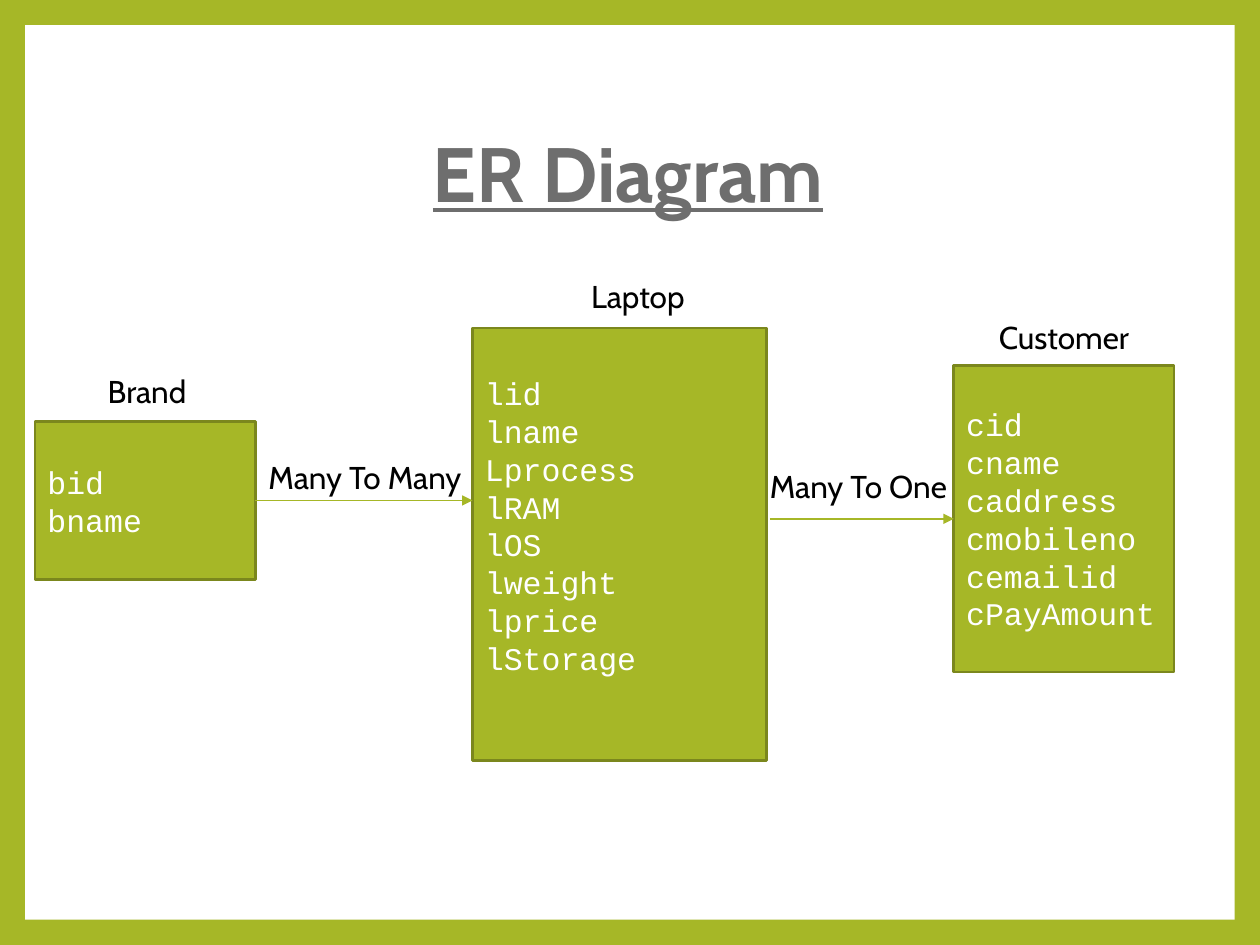
from dataclasses import dataclass

from lxml import etree
from pptx import Presentation
from pptx.dml.color import RGBColor
from pptx.enum import shapes, text
from pptx.oxml import ns
from pptx.util import Pt

GREEN = RGBColor(0xA6, 0xB7, 0x27)
DARK_GREEN = RGBColor(0x7B, 0x87, 0x1D)
GREY = RGBColor(0x6E, 0x6E, 0x6E)
WHITE = RGBColor(0xFF, 0xFF, 0xFF)
BLACK = RGBColor(0x00, 0x00, 0x00)

LABEL_FONT = "Cabin"
FIELD_FONT = "Courier New"
TEXT_SIZE = 18
LABEL_WIDTH, LABEL_HEIGHT = 162, 29
RIGHT_SIDE, LEFT_SIDE = 3, 1


@dataclass
class Label:
    caption: str
    center: float
    top: float


@dataclass
class Entity:
    label: Label
    fields: list[str]
    left: float
    top: float
    width: float
    height: float
    bottom_inset: float = 3.6


@dataclass
class Relation:
    label: Label
    start: float
    end: float
    y: float


BRAND = Entity(Label("Brand", 84, 209), ["bid", "bname"], 20, 241, 126, 90)
LAPTOP = Entity(
    Label("Laptop", 364.5, 155),
    ["lid", "lname", "Lprocess", "lRAM", "lOS", "lweight", "lprice", "lStorage"],
    270, 187.5, 168, 247, bottom_inset=25,
)
CUSTOMER = Entity(
    Label("Customer", 608, 178),
    ["cid", "cname", "caddress", "cmobileno", "cemailid", "cPayAmount"],
    545, 209, 126, 175,
)
BRAND_LAPTOP = Relation(Label("Many To Many", 208.5, 258), 146, 270, 286)
LAPTOP_CUSTOMER = Relation(Label("Many To One", 490.5, 263.5), 440, 545, 296.5)


def format_text(frame, font: str, size: float, color: RGBColor, align) -> None:
    for para in frame.paragraphs:
        para.alignment = align
        for span in para.runs:
            span.font.name = font
            span.font.size = Pt(size)
            span.font.color.rgb = color


def add_rectangle(slide, left: float, top: float, width: float, height: float, fill: RGBColor):
    box = slide.shapes.add_shape(
        shapes.MSO_SHAPE.RECTANGLE, Pt(left), Pt(top), Pt(width), Pt(height))
    box.shadow.inherit = False
    box.fill.solid()
    box.fill.fore_color.rgb = fill
    box.line.fill.background()
    return box


def add_label(slide, label: Label) -> None:
    box = slide.shapes.add_textbox(
        Pt(label.center - LABEL_WIDTH / 2), Pt(label.top), Pt(LABEL_WIDTH), Pt(LABEL_HEIGHT))
    frame = box.text_frame
    frame.word_wrap = True
    frame.text = label.caption
    format_text(frame, LABEL_FONT, TEXT_SIZE, BLACK, text.PP_ALIGN.CENTER)


def add_entity(slide, entity: Entity):
    box = add_rectangle(slide, entity.left, entity.top, entity.width, entity.height, GREEN)
    box.line.color.rgb = DARK_GREEN
    box.line.width = Pt(1.5)
    frame = box.text_frame
    frame.text = "\n".join(entity.fields)
    frame.vertical_anchor = text.MSO_ANCHOR.MIDDLE
    frame.margin_bottom = Pt(entity.bottom_inset)
    format_text(frame, FIELD_FONT, TEXT_SIZE, WHITE, text.PP_ALIGN.LEFT)
    add_label(slide, entity.label)
    return box


def add_relation(slide, relation: Relation):
    arrow = slide.shapes.add_connector(
        shapes.MSO_CONNECTOR.STRAIGHT,
        Pt(relation.start), Pt(relation.y), Pt(relation.end), Pt(relation.y))
    arrow.line.color.rgb = GREEN
    arrow.line.width = Pt(0.79)
    etree.SubElement(arrow.line._get_or_add_ln(), ns.qn("a:tailEnd"), type="triangle")
    etree.SubElement(arrow._element.spPr, ns.qn("a:effectLst"))
    add_label(slide, relation.label)
    return arrow


def main() -> None:
    deck = Presentation()
    deck.slide_width, deck.slide_height = Pt(720), Pt(540)
    slide = deck.slides.add_slide(deck.slide_layouts.get_by_name("Title Only"))

    # Green frame around a white panel
    slide.background.fill.solid()
    slide.background.fill.fore_color.rgb = GREEN
    panel = add_rectangle(slide, 14.4, 14.4, 691.2, 511.2, WHITE)

    # Title, placed in front of the panel
    title = slide.shapes.title
    panel._element.addnext(title._element)
    title.left, title.top, title.width, title.height = Pt(67.5), Pt(48), Pt(583), Pt(106.5)
    frame = title.text_frame
    frame.text = "ER Diagram"
    frame.vertical_anchor = text.MSO_ANCHOR.MIDDLE
    frame.auto_size = text.MSO_AUTO_SIZE.NONE
    format_text(frame, LABEL_FONT, 44, GREY, text.PP_ALIGN.CENTER)
    para = frame.paragraphs[0]
    para.line_spacing = 0.9
    para.runs[0].font.bold = True
    para.runs[0].font.underline = True

    # Entities
    brand_box, _, customer_box = [
        add_entity(slide, entity) for entity in (BRAND, LAPTOP, CUSTOMER)]

    # Relations, joined where they meet the middle of a side
    add_relation(slide, BRAND_LAPTOP).begin_connect(brand_box, RIGHT_SIDE)
    add_relation(slide, LAPTOP_CUSTOMER).end_connect(customer_box, LEFT_SIDE)

    deck.save("out.pptx")


if __name__ == "__main__":
    main()
